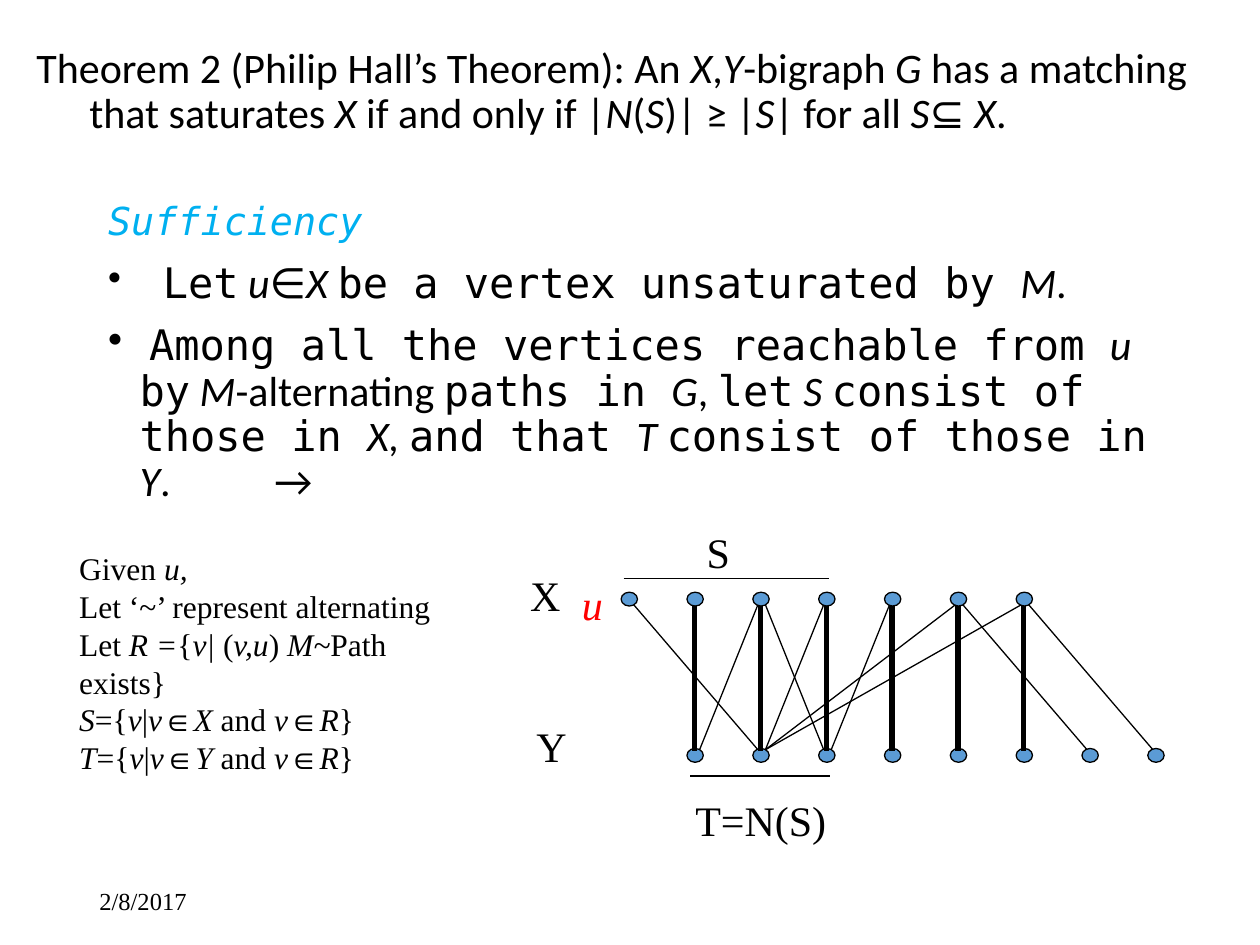
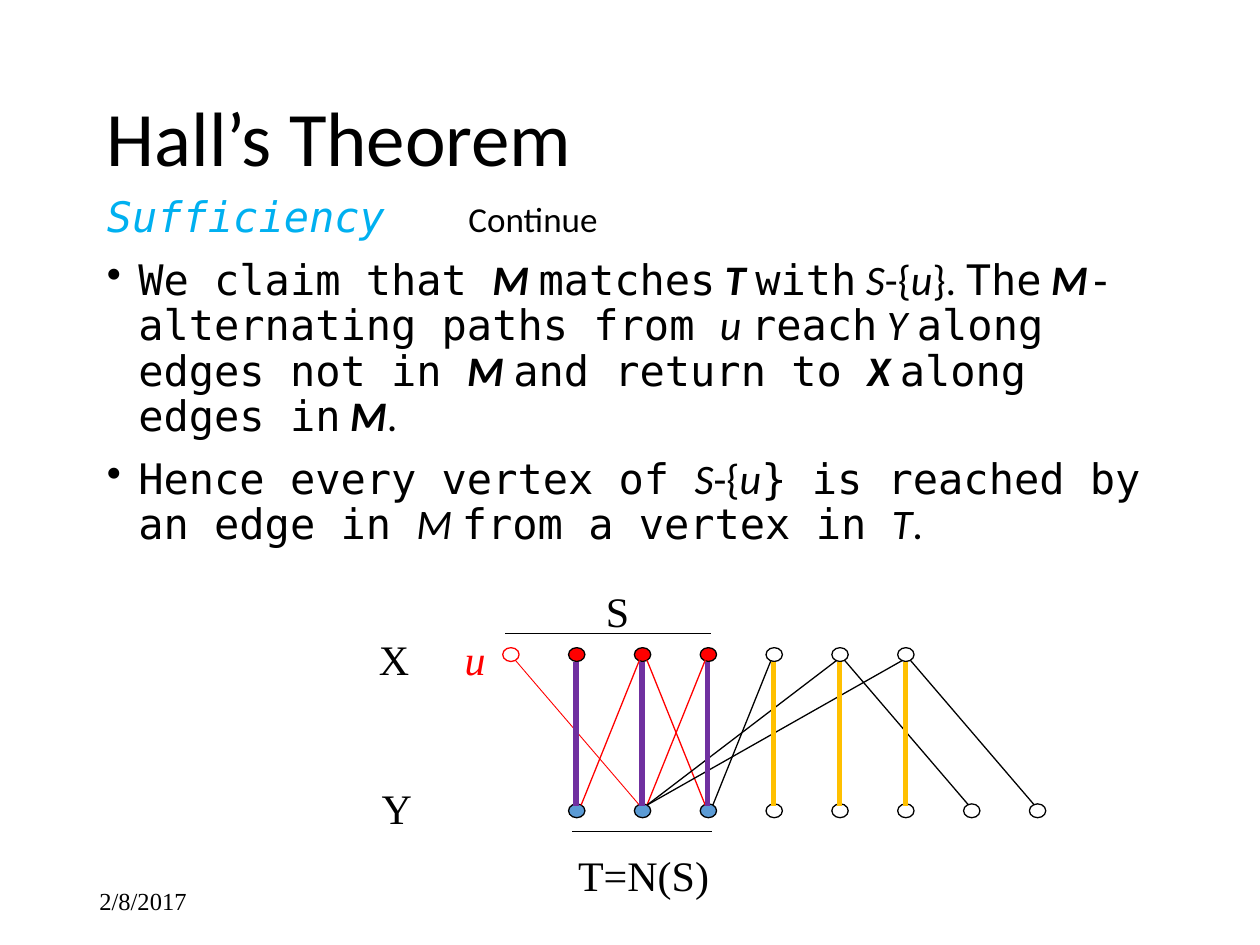
"""Build two slides on the sufficiency part of Hall's Theorem."""
from itertools import groupby
from lxml.etree import SubElement
from pptx import Presentation
from pptx.dml.color import RGBColor
from pptx.enum.shapes import MSO_CONNECTOR, MSO_SHAPE
from pptx.enum.text import MSO_ANCHOR
from pptx.oxml.ns import qn
from pptx.util import Inches, Pt

BLACK = RGBColor(0, 0, 0)
RED = RGBColor(0xFF, 0, 0)
CYAN = RGBColor(0, 0xB0, 0xF0)
BLUE = RGBColor(0x5B, 0x9B, 0xD5)
PURPLE = RGBColor(0x70, 0x30, 0xA0)
GOLD = RGBColor(0xFF, 0xC0, 0)
SANS, MONO, SERIF = "Calibri", "DejaVu Sans Mono", "Times New Roman"


def write(slide, place, lines, size, font=SERIF, color=BLACK):
    """Add a text box where _ toggles italic, ^ bold and ` the mono font."""
    frame = slide.shapes.add_textbox(*map(Inches, place)).text_frame
    frame.word_wrap = True
    for count, line in enumerate(lines):
        par = frame.add_paragraph() if count else frame.paragraphs[0]
        style = set()
        for plain, chars in groupby(line, lambda char: char not in "_^`"):
            if not plain:
                style ^= set(chars)
                continue
            run = par.add_run()
            run.text = "".join(chars)
            run.font.name = MONO if "`" in style else font
            run.font.size = Pt(size)
            run.font.color.rgb = color
            run.font.italic = "_" in style
            run.font.bold = "^" in style
    return frame


def draw(slide, ends, color=BLACK, width=0.75):
    """Add a straight line without a shadow."""
    line = slide.shapes.add_connector(MSO_CONNECTOR.STRAIGHT, *map(Inches, ends))
    line.line.color.rgb = color
    line.line.width = Pt(width)
    SubElement(line._element.spPr, qn("a:effectLst"))


deck = Presentation()
deck.slide_width, deck.slide_height = Inches(10), Inches(7.5)
first, second = [deck.slides.add_slide(deck.slide_layouts[6]) for _ in range(2)]

for slide in (first, second):
    date = write(slide, (0.69, 6.95, 2.25, 0.4), ["2/8/2017"], 14)
    date.vertical_anchor = MSO_ANCHOR.MIDDLE

claim = write(first, (0.19, 0, 9.81, 1.47), [
    "Theorem 2 (Philip Hall’s Theorem): An _X_,_Y_-bigraph _G_ has a matching that "
    "saturates _X_ if and only if |_N_(_S_)| ≥ |_S_| for all_ S_⊆ _X_."], 24, SANS)
props = claim.paragraphs[0]._p.get_or_add_pPr()
props.set("marL", str(Inches(0.42)))
props.set("indent", str(Inches(-0.42)))
title = write(second, (0.75, 0.67, 8.5, 0.9), ["Hall’s Theorem"], 44, SANS)
for head in (claim, title):
    head.vertical_anchor = MSO_ANCHOR.MIDDLE
    head.paragraphs[0].line_spacing = 0.9

setup = write(first, (0.76, 1.56, 8.59, 2.53), [
    "`_Sufficiency_`",
    "`_ _Let` _u_∈_X _`be a vertex unsaturated by `_M_.",
    " `Among all the vertices reachable from `_u _`by` _M_-alternating `paths in `_G_, "
    "`let` _S _`consist of those in `_X, _`and that `_T _`consist of those in `_Y_.\t→"],
    24, SANS)
for par in setup.paragraphs[:2]:
    par.runs[0].font.size = Pt(22)
proof = write(second, (0.75, 1.51, 8.5, 2.94), [
    "`_Sufficiency_`\tContinue",
    "`We claim that `^_M _^`matches` ^_T _^`with` _S_-{_u_}. `The` ^_M_^`-alternating "
    "paths from `_u _`reach` _Y _`along edges not in `^_M _^`and return to `^_X _^`along "
    "edges in` ^_M_^.",
    "`Hence every vertex of `_S_-{_u_`} is reached by an edge in `_M _`from a vertex "
    "in `_T_."], 24, SANS)
proof.paragraphs[0].runs[1].font.size = Pt(20)

for body, stop in ((setup, 1.32), (proof, 2.87)):
    body.paragraphs[0].runs[0].font.color.rgb = CYAN
    for count, par in enumerate(body.paragraphs):
        par.line_spacing = 0.9
        props = par._p.get_or_add_pPr()
        if count:
            par.space_before = Pt(10)
            props.set("marL", str(Inches(0.25)))
            props.set("indent", str(Inches(-0.25)))
            SubElement(props, qn("a:buChar"), char="•")
        if any("\t" in run.text for run in par.runs):
            tabs = SubElement(props, qn("a:tabLst"))
            SubElement(tabs, qn("a:tab"), pos=str(Inches(stop)), algn="l")

write(first, (0.53, 4.31, 3.38, 2.02), [
    "Given_ u,_",
    "Let ‘~’ represent alternating",
    "Let_ R =_{_v| _(_v,u_)_ M~_Path exists}",
    "_S_={_v_|_v_∈_X_ and _v_∈_R_}",
    "_T_={_v_|_v_∈_Y_ and _v_∈_R_}"], 18)

STEP = 4.18 / 8
DOTS = [(col, 0) for col in range(7)] + [(col, 1) for col in range(1, 9)]
EDGES = [(0, 2), (2, 1), (2, 3), (3, 2), (4, 3), (6, 2), (5, 2), (6, 8), (5, 7)]
for slide, left, top, tinted in ((first, 5, 4.75, False), (second, 4.06, 5.19, True)):
    for col, row in DOTS:
        dot = slide.shapes.add_shape(
            MSO_SHAPE.OVAL, Inches(left + col * STEP - 0.07),
            Inches(top + row * 1.24 - 0.05), Inches(0.13), Inches(0.11))
        dot.shadow.inherit = False
        dot.line.width = Pt(0.75)
        dot.line.color.rgb = RED if tinted and col == 0 else BLACK
        if tinted and col not in (1, 2, 3):
            dot.fill.background()
        else:
            dot.fill.solid()
            dot.fill.fore_color.rgb = RED if tinted and row == 0 else BLUE
    for high, low in EDGES:
        lean = 0.03 if low > high else -0.03
        draw(slide, (left + high * STEP + lean, top + 0.05,
                     left + low * STEP - lean, top + 1.2),
             RED if tinted and high < 4 else BLACK,
             0.5 if tinted and high == 0 else 0.75)
    for col in range(1, 7):
        mid = left + col * STEP - 0.01
        shade = PURPLE if col < 4 else GOLD
        draw(slide, (mid, top + 0.06, mid, top + 1.21), shade if tinted else BLACK, 3)
    draw(slide, (left - 0.05, top - 0.16, left + 1.58, top - 0.16))
    draw(slide, (left + 0.48, top + 1.41, left + 1.59, top + 1.41))

NAMES = ["T=N(S)", "S", "X", "Y", "_u_"]
for slide, spots in (
        (first, [(5.42, 6.26), (5.51, 4.13), (4.11, 4.47), (4.16, 5.67), (4.52, 4.54)]),
        (second, [(4.49, 6.69), (4.71, 4.6), (2.91, 4.98), (2.93, 6.16), (3.59, 4.98)])):
    for name, spot in zip(NAMES, spots):
        width = 1.3 if name == "T=N(S)" else 0.47
        write(slide, (*spot, width, 0.5), [name], 24, color=RED if name == "_u_" else BLACK)

deck.save("out.pptx")
